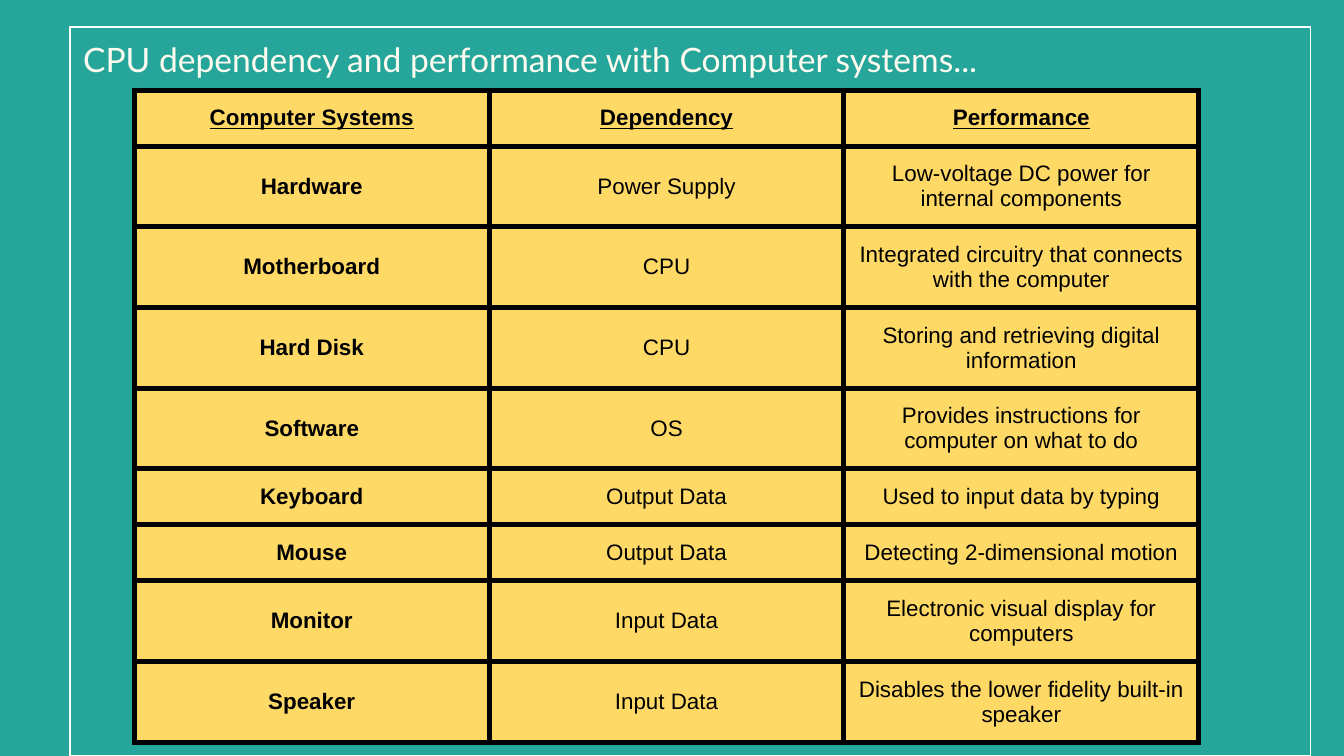
from lxml.etree import SubElement
from pptx import Presentation
from pptx.dml.color import RGBColor
from pptx.enum.shapes import MSO_SHAPE
from pptx.enum.text import MSO_ANCHOR, PP_ALIGN
from pptx.oxml.ns import qn
from pptx.util import Inches, Pt

TEAL = RGBColor(0x26, 0xA6, 0x9A)
CREAM = RGBColor(0xFF, 0xFB, 0xF0)
WHITE = RGBColor(0xFF, 0xFF, 0xFF)
YELLOW = RGBColor(0xFF, 0xD9, 0x66)
BLACK = RGBColor(0, 0, 0)

ROWS = [
    ("Computer Systems", "Dependency", "Performance"),
    ("Hardware", "Power Supply", "Low-voltage DC power for internal components"),
    ("Motherboard", "CPU", "Integrated circuitry that connects with the computer"),
    ("Hard Disk", "CPU", "Storing and retrieving digital information"),
    ("Software", "OS", "Provides instructions for computer on what to do"),
    ("Keyboard", "Output Data", "Used to input data by typing"),
    ("Mouse", "Output Data", "Detecting 2-dimensional motion"),
    ("Monitor", "Input Data", "Electronic visual display for computers"),
    ("Speaker", "Input Data", "Disables the lower fidelity built-in speaker"),
]


def set_margins(box):
    box.margin_left = box.margin_right = Inches(0.1)
    box.margin_top = box.margin_bottom = Inches(0.1)
    box.vertical_anchor = MSO_ANCHOR.MIDDLE


def add_run(p, text, font, size, color):
    r = p.add_run()
    r.text = text
    r.font.name = font
    r.font.size = Pt(size)
    r.font.color.rgb = color
    return r


def set_end_font(p, font, size):
    end = SubElement(p._p, qn("a:endParaRPr"), sz=str(size * 100))
    SubElement(end, qn("a:latin"), typeface=font)


def set_borders(cell, color, width):
    tc_pr = cell._tc.get_or_add_tcPr()
    for side in ("a:lnL", "a:lnR", "a:lnT", "a:lnB"):
        ln = SubElement(tc_pr, qn(side), w=str(Pt(width)))
        fill = SubElement(ln, qn("a:solidFill"))
        SubElement(fill, qn("a:srgbClr"), val=str(color))


def add_title_frame(s, x, y, w, h):
    tb = s.shapes.add_textbox(Inches(x), Inches(y), Inches(w - 0.45), Inches(0.48))
    tf = tb.text_frame
    tf.word_wrap = True
    set_margins(tf)
    add_run(tf.paragraphs[0], "CPU dependency and performance with Computer systems...",
            "Lato", 18, CREAM)

    frame = s.shapes.add_shape(MSO_SHAPE.RECTANGLE, Inches(x), Inches(y), Inches(w), Inches(h))
    frame.shadow.inherit = False
    frame.fill.background()
    frame.line.color.rgb = WHITE
    frame.line.width = Pt(0.75)


def add_systems_table(s, x, y, w, h):
    n_rows, n_cols = len(ROWS), len(ROWS[0])
    table = s.shapes.add_table(n_rows, n_cols, Inches(x), Inches(y), Inches(w), Inches(h)).table
    table.horz_banding = False
    for col in table.columns:
        col.width = Inches(w / n_cols)
    for row in table.rows:
        row.height = Inches(h / n_rows)
    for i, texts in enumerate(ROWS):
        for j, text in enumerate(texts):
            cell = table.cell(i, j)
            set_margins(cell)
            set_borders(cell, BLACK, 3)
            cell.fill.solid()
            cell.fill.fore_color.rgb = YELLOW
            p = cell.text_frame.paragraphs[0]
            p.alignment = PP_ALIGN.CENTER
            r = add_run(p, text, "Arial", 12, BLACK)
            r.font.bold = i == 0 or j == 0
            r.font.underline = i == 0
            set_end_font(p, "Arial", 12)


def main():
    prs = Presentation()
    prs.slide_width = Inches(10)
    prs.slide_height = prs.slide_width * 9 // 16
    s = prs.slides.add_slide(prs.slide_layouts[6])
    s.background.fill.solid()
    s.background.fill.fore_color.rgb = TEAL
    add_title_frame(s, 0.52, 0.2, 9.23, 5.42)
    add_systems_table(s, 1, 0.67, 7.92, 3.75)
    prs.save("out.pptx")


if __name__ == "__main__":
    main()
